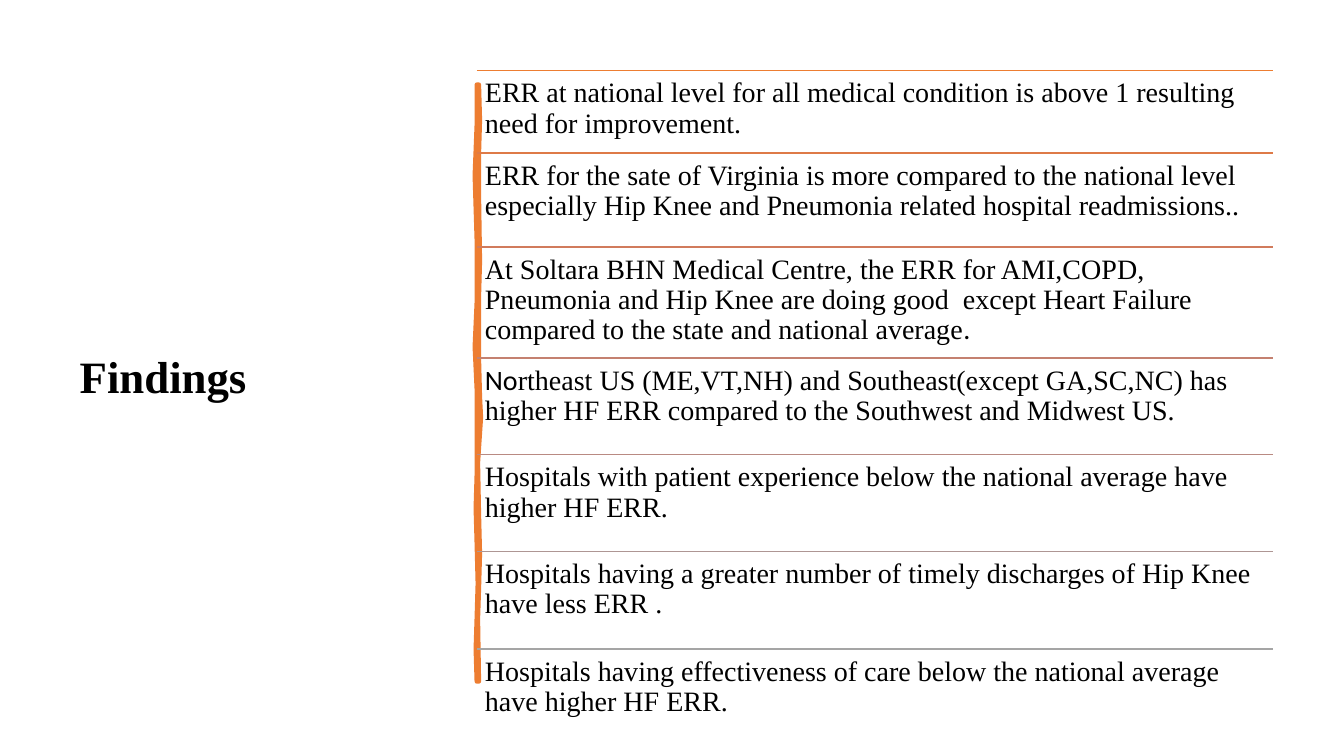
from lxml import etree
from pptx import Presentation
from pptx.dml.color import RGBColor
from pptx.enum.shapes import MSO_CONNECTOR
from pptx.enum.text import MSO_ANCHOR, PP_ALIGN
from pptx.oxml.ns import qn
from pptx.util import Inches, Pt

STRAIGHT = MSO_CONNECTOR.STRAIGHT
MIDDLE, TOP = MSO_ANCHOR.MIDDLE, MSO_ANCHOR.TOP
LEFT = PP_ALIGN.LEFT
TITLE_ONLY = 5
SERIF, SANS = "Times New Roman", "Calibri"
BLACK, ORANGE = "000000", "ED7D31"

FINDINGS = [
    (0.82, ORANGE, [("ERR at national level for all medical condition is above 1 "
                     "resulting need for improvement.", SERIF)]),
    (0.93, "DE7A47", [("ERR for the sate of Virginia is more compared to the national level "
                       "especially Hip Knee and Pneumonia related hospital readmissions..", SERIF)]),
    (1.1, "D17B5C", [("At Soltara BHN Medical Centre, the ERR for AMI,COPD, Pneumonia and "
                      "Hip Knee are doing good  except Heart Failure compared to the state "
                      "and national average", SERIF), (".", SANS)]),
    (0.96, "C48170", [("No", SANS),
                      ("rtheast US (ME,VT,NH) and Southeast(except GA,SC,NC) has higher HF ERR "
                       "compared to the Southwest and Midwest US.", SERIF)]),
    (0.96, "B98A82", [("Hospitals with patient experience below the national average have "
                       "higher HF ERR.", SERIF)]),
    (0.97, "AE9694", [("Hospitals having a greater number of timely discharges of Hip Knee "
                       "have less ERR .", SERIF)]),
    (0.78, "A5A5A5", [("Hospitals having effectiveness of care below the national average "
                       "have higher HF ERR.", SERIF)]),
]

RIGHT_EDGE = [(0.02, 0), (0.03, 0.35), (0.02, 0.68), (0.02, 1.1), (0.03, 1.75), (0.02, 2.1),
              (0.02, 2.72), (0.03, 3.1), (0.04, 3.3), (0.01, 3.75), (0.02, 4.26), (0.03, 4.65),
              (0.02, 5), (0.01, 5.3), (0.02, 5.92)]
LEFT_EDGE = [(0, 5.92), (-0.01, 5.6), (0, 5.29), (0.01, 4.95), (0, 4.55), (-0.01, 4.2),
             (0, 3.87), (0, 3.45), (0, 3.02), (-0.02, 2.6), (0, 2.16), (0, 1.85),
             (0, 1.54), (-0.02, 0.9), (0, 0.4), (0, 0)]


def colour(hex_code):
    return RGBColor.from_string(hex_code)


def style_font(font, name, size, bold=False):
    font.name = name
    font.size = Pt(size)
    font.bold = bold
    font.color.rgb = colour(BLACK)


def add_heading(slide, left, top, width, height):
    heading = slide.shapes.title
    heading.left, heading.top = Inches(left), Inches(top)
    heading.width, heading.height = Inches(width), Inches(height)
    frame = heading.text_frame
    frame.text = "Findings"
    frame.word_wrap = True
    frame.vertical_anchor = MIDDLE
    line = frame.paragraphs[0]
    line.alignment = LEFT
    line.line_spacing = 0.9
    style_font(line.runs[0].font, SERIF, 32, True)


def add_brush_stroke(slide, left, top):
    outline = [(Inches(left + x), Inches(top + y)) for x, y in RIGHT_EDGE + LEFT_EDGE]
    builder = slide.shapes.build_freeform(*outline[0])
    builder.add_line_segments(outline[1:], close=True)
    stroke = builder.convert_to_shape()
    stroke.shadow.inherit = False
    stroke.fill.solid()
    stroke.fill.fore_color.rgb = colour(ORANGE)
    stroke.line.color.rgb = colour(ORANGE)
    stroke.line.width = Pt(3.25)
    etree.SubElement(stroke.line._get_or_add_ln(), qn("a:round"))


def add_finding(slide, left, top, width, height, rule_colour, pieces):
    rule = slide.shapes.add_connector(
        STRAIGHT, Inches(left), Inches(top), Inches(left + width), Inches(top))
    rule.line.color.rgb = colour(rule_colour)
    rule.line.width = Pt(1)
    etree.SubElement(rule._element.spPr, qn("a:effectLst"))

    finding = slide.shapes.add_textbox(
        Inches(left), Inches(top), Inches(width), Inches(height))
    frame = finding.text_frame
    frame.word_wrap = True
    frame.vertical_anchor = TOP
    frame.margin_left = frame.margin_right = Inches(0.08)
    frame.margin_top = frame.margin_bottom = Inches(0.08)
    paragraph = frame.paragraphs[0]
    paragraph.line_spacing = 0.9
    for words, font_name in pieces:
        run = paragraph.add_run()
        run.text = words
        style_font(run.font, font_name, 20)


def add_findings(slide, left, top, width):
    for height, rule_colour, pieces in FINDINGS:
        add_finding(slide, left, top, width, height, rule_colour, pieces)
        top += height


def main():
    deck = Presentation()
    deck.slide_width, deck.slide_height = Inches(13.33), Inches(7.5)
    slide = deck.slides.add_slide(deck.slide_layouts[TITLE_ONLY])
    add_heading(slide, 0.69, 0.7, 3.74, 6.11)
    add_brush_stroke(slide, 4.73, 0.84)
    add_findings(slide, 4.73, 0.7, 7.9)
    deck.save("out.pptx")


if __name__ == "__main__":
    main()
